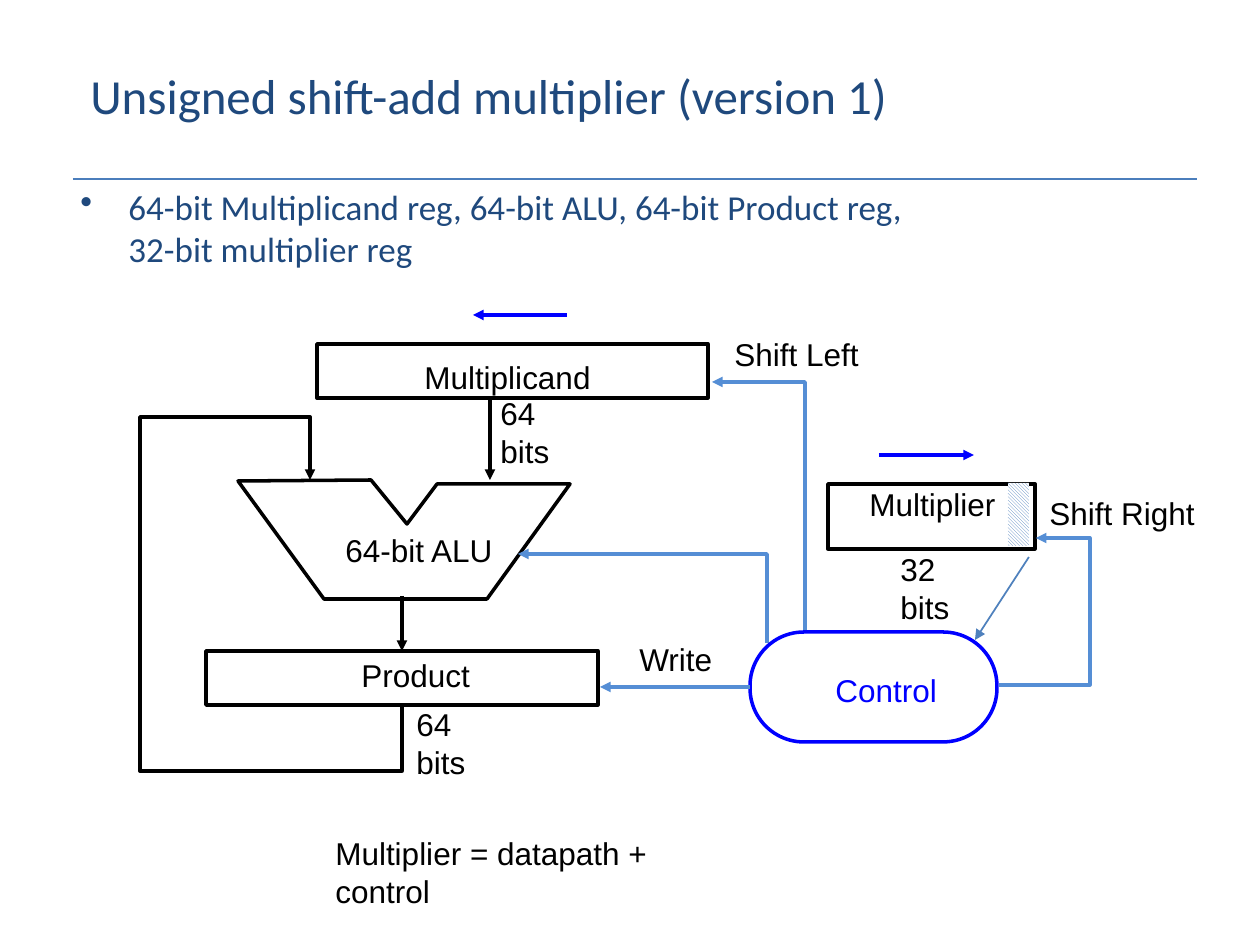
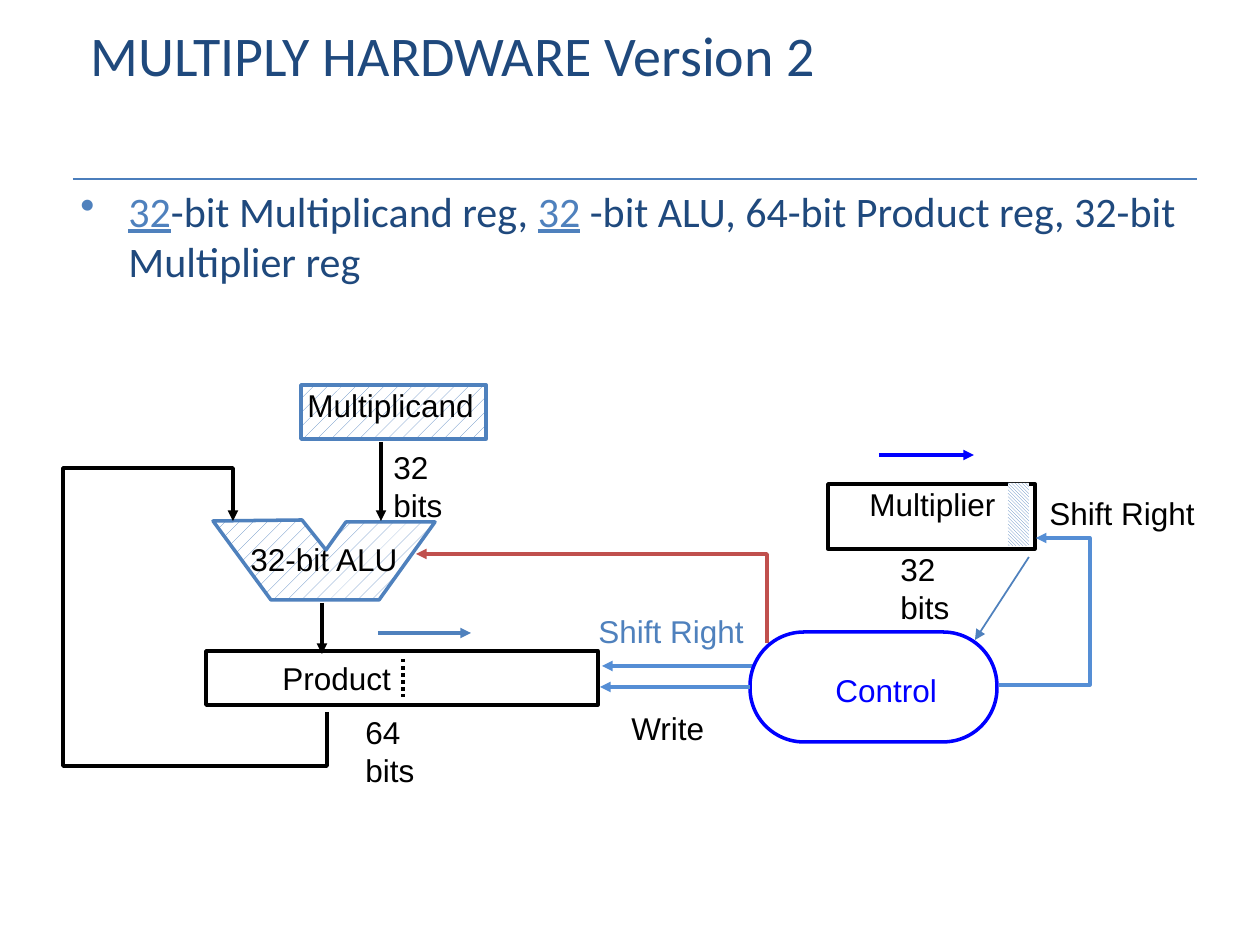
from dataclasses import dataclass
from typing import Any

from lxml.etree import SubElement
from pptx import Presentation
from pptx.dml.color import RGBColor
from pptx.enum.dml import MSO_LINE, MSO_PATTERN
from pptx.enum.shapes import MSO_CONNECTOR, MSO_SHAPE
from pptx.enum.text import MSO_ANCHOR
from pptx.oxml.ns import qn
from pptx.util import Pt

PX = 914400 // 126
BLACK = RGBColor(0x00, 0x00, 0x00)
WHITE = RGBColor(0xFF, 0xFF, 0xFF)
NAVY = RGBColor(0x1F, 0x49, 0x7D)
STEEL = RGBColor(0x4F, 0x81, 0xBD)
RULE_BLUE = RGBColor(0x4B, 0x7E, 0xBC)
SIGNAL = RGBColor(0x55, 0x8E, 0xD5)
BLUE = RGBColor(0x00, 0x00, 0xFF)
RED = RGBColor(0xC0, 0x50, 0x4D)

ALU_OUTLINE = [(0, 0.01), (0.26, 1), (0.75, 1), (1, 0.03), (0.6, 0.03), (0.51, 0.37), (0.4, 0)]
LABEL_HEIGHT = 52
TOP, LEFT = 0, 1


def style_line(line, color, width=2, arrow=False):
    line.color.rgb = color
    line.width = Pt(width)
    if arrow:
        SubElement(line._get_or_add_ln(), qn("a:tailEnd"), type="triangle")


def hatch(fill, pattern):
    fill.patterned()
    fill.pattern = pattern
    fill.fore_color.rgb = STEEL
    fill.back_color.rgb = WHITE


@dataclass
class Region:
    slide: Any
    left: int = 0
    top: int = 0

    def place(self, x, y):
        return (self.left + x) * PX, (self.top + y) * PX

    def text_frame(self, x, y, width, height):
        frame = self.slide.shapes.add_textbox(*self.place(x, y), width * PX, height * PX).text_frame
        frame.word_wrap = True
        return frame

    def label(self, text, x, y, width, color=BLACK, size=18, font="Arial", height=LABEL_HEIGHT):
        frame = self.text_frame(x, y, width, height)
        paragraph = frame.paragraphs[0]
        paragraph.text = text
        paragraph.font.name = font
        paragraph.font.size = Pt(size)
        paragraph.font.color.rgb = color
        return frame

    def block(self, x, y, width, height, color=BLACK, kind=MSO_SHAPE.RECTANGLE):
        block = self.slide.shapes.add_shape(kind, *self.place(x, y), width * PX, height * PX)
        block.shadow.inherit = False
        block.fill.solid()
        block.fill.fore_color.rgb = WHITE
        style_line(block.line, color)
        return block

    def connector(self, start, end, color, width=2, arrow=True):
        connector = self.slide.shapes.add_connector(
            MSO_CONNECTOR.STRAIGHT, *self.place(*start), *self.place(*end))
        style_line(connector.line, color, width, arrow)
        SubElement(connector._element.spPr, qn("a:effectLst"))
        return connector

    def outline(self, points, color, closed=False):
        start, *rest = [self.place(*point) for point in points]
        builder = self.slide.shapes.build_freeform(*start)
        builder.add_line_segments(rest, close=closed)
        outline = builder.convert_to_shape()
        outline.shadow.inherit = False
        outline.fill.background()
        style_line(outline.line, color, arrow=not closed)
        return outline

    def alu(self, x, y, width, height, color):
        points = [(x + round(fx * width), y + round(fy * height)) for fx, fy in ALU_OUTLINE]
        return self.outline(points, color, closed=True)

    def feedback(self, start, bottom, top, alu_top):
        entry = 170
        self.outline([start, (start[0], bottom), (0, bottom), (0, top), (entry, top),
                      (entry, alu_top)], BLACK)


def heading(slide, title, size, title_box, body_runs, body_size, body_box):
    page = Region(slide)
    page.connector((73, 179), (1197, 179), RULE_BLUE, 0.75, arrow=False)
    x, y, width, height = title_box
    frame = page.label(title, x, y, width, NAVY, size, "Calibri", height)
    frame.vertical_anchor = MSO_ANCHOR.MIDDLE

    paragraph = page.text_frame(*body_box).paragraphs[0]
    paragraph.font.name = "Calibri"
    paragraph.font.size = Pt(body_size)
    properties = paragraph._p.get_or_add_pPr()
    properties.set("marL", str(48 * PX))
    properties.set("indent", str(-48 * PX))
    bullet = properties.makeelement(qn("a:buChar"), {"char": "•"})
    properties.insert(0, bullet)
    for text, emphasized in body_runs:
        if text == "\n":
            paragraph.add_line_break()
            continue
        run = paragraph.add_run()
        run.text = text
        run.font.color.rgb = STEEL if emphasized else NAVY
        if emphasized:
            run.font.underline = True


def control_side(slide, left, top):
    side = Region(slide, left, top)
    side.connector((129, 0), (224, 0), BLUE)
    side.block(78, 29, 207, 65)
    side.label("Multiplier", 107, 24, 165)
    low_bit = side.block(258, 28, 21, 63)
    hatch(low_bit.fill, MSO_PATTERN.LIGHT_DOWNWARD_DIAGONAL)
    low_bit.line.fill.background()
    side.label("Shift Right", 287, 33, 175)
    side.label("32 bits", 138, 89, 115)

    control = side.block(0, 177, 247, 110, BLUE, MSO_SHAPE.ROUNDED_RECTANGLE)
    control.adjustments[0] = 0.49
    side.label("Control", 73, 210, 132, BLUE)
    side.outline([(249, 230), (340, 230), (340, 83), (286, 83)], SIGNAL)
    side.connector((279, 102), (225, 185), STEEL, 1)
    write = side.connector((0, 232), (-150, 232), SIGNAL)
    write.begin_connect(control, LEFT)


def wide_datapath(slide, left, top):
    path = Region(slide, left, top)
    path.connector((427, 0), (333, 0), BLUE)
    path.block(177, 29, 391, 54)
    path.label("Multiplicand", 272, 37, 202)
    path.label("Shift Left", 582, 14, 155)
    path.label("64 bits", 348, 73, 115)
    path.connector((350, 85), (350, 165), BLACK)

    path.alu(98, 165, 332, 119, BLACK)
    path.label("64-bit ALU", 193, 210, 180)
    path.outline([(627, 328), (627, 239), (378, 239)], SIGNAL)
    path.outline([(665, 317), (665, 67), (572, 67)], SIGNAL)

    product = path.block(66, 336, 392, 54)
    path.label("Product", 209, 335, 135)
    path.label("Write", 487, 319, 106)
    path.label("64 bits", 264, 384, 115)
    path.connector((262, 281), (262, 336), BLACK).end_connect(product, TOP)
    path.feedback((262, 390), 456, 102, 165)
    path.label("Multiplier = datapath + control", 183, 513, 403)


def narrow_datapath(slide, left, top):
    path = Region(slide, left, top)
    multiplicand = path.block(238, 0, 185, 54, STEEL)
    alu = path.alu(150, 135, 222, 80, STEEL)
    for part in (multiplicand, alu):
        hatch(part.fill, MSO_PATTERN.PERCENT_10)
    path.label("Multiplicand", 232, -5, 202)
    path.label("32 bits", 318, 57, 115)
    path.connector((318, 57), (318, 136), BLACK)
    path.label("32-bit ALU", 175, 149, 180)
    path.outline([(704, 258), (704, 169), (353, 169)], RED)

    path.block(143, 266, 392, 54)
    path.label("Product", 207, 268, 135)
    path.connector((340, 274), (340, 312), BLACK, arrow=False).line.dash_style = MSO_LINE.ROUND_DOT
    path.connector((259, 218), (259, 269), BLACK)
    path.connector((315, 248), (408, 248), STEEL)
    path.label("Shift Right", 523, 221, 175, STEEL)
    path.connector((690, 281), (539, 281), SIGNAL)
    path.label("Write", 556, 318, 106)
    path.label("64 bits", 290, 322, 115)
    path.feedback((264, 327), 381, 83, 136)


def main():
    deck = Presentation()
    deck.slide_width, deck.slide_height = 1260 * PX, 945 * PX
    blank = deck.slide_layouts[6]

    first = deck.slides.add_slide(blank)
    heading(first, "Unsigned shift-add multiplier (version 1)", 28, (78, 59, 1076, 72),
            [("64-bit Multiplicand reg, 64-bit ALU, 64-bit Product reg,", False), ("\n", False),
             ("32-bit multiplier reg", False)], 20, (68, 179, 1129, 72))
    wide_datapath(first, 140, 315)

    second = deck.slides.add_slide(blank)
    heading(second, "MULTIPLY HARDWARE Version 2", 32, (78, -20, 1115, 149),
            [("32", True), ("-bit Multiplicand reg, ", False), ("32", True),
             (" -bit ALU, 64-bit Product reg, 32-bit Multiplier reg", False)],
            24, (68, 179, 1149, 93))
    narrow_datapath(second, 63, 385)

    for slide in (first, second):
        control_side(slide, 750, 455)
    deck.save("out.pptx")


if __name__ == "__main__":
    main()
